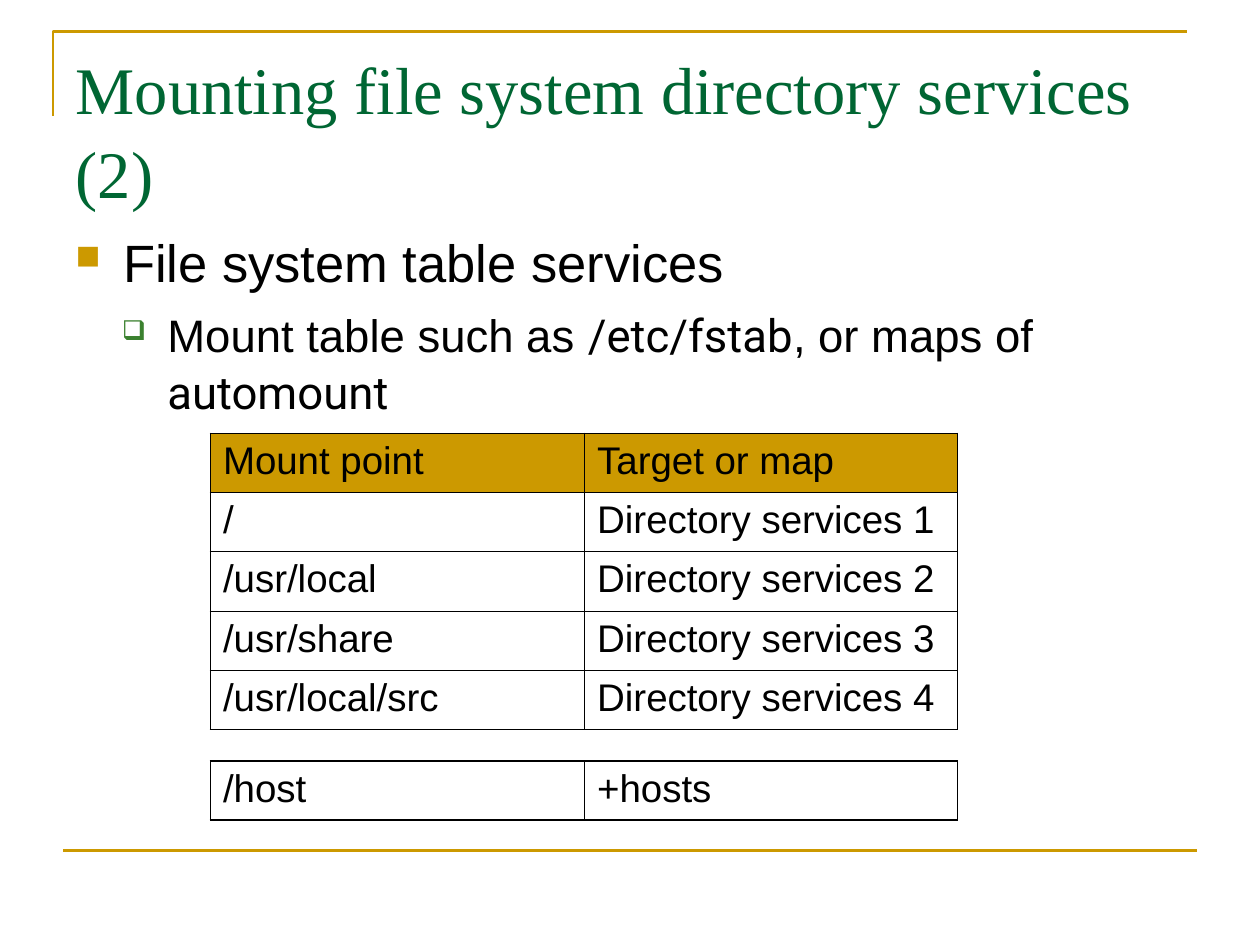
from pptx import Presentation
from pptx.dml.color import RGBColor
from pptx.enum.text import MSO_ANCHOR as ANCHOR, MSO_AUTO_SIZE as FIT, PP_ALIGN as ALIGN
from pptx.oxml import parse_xml
from pptx.oxml.ns import nsdecls
from pptx.util import Inches, Pt

GOLD, GREEN, BLACK = "CC9900", "006633", "000000"
rgb = RGBColor.from_string


def style(font, name, size, color):
    font.name, font.size, font.color.rgb = name, Pt(size), rgb(color)


prs = Presentation()
prs.slide_width, prs.slide_height = Inches(10), Inches(7.5)
W, H = prs.slide_width, prs.slide_height
s = prs.slides.add_slide(prs.slide_layouts[5])
left, wide = int(W * 0.05), int(W * 0.9)

fb = s.shapes.build_freeform(Inches(0.42), Inches(0.92))
fb.add_line_segments([(Inches(0.42), Inches(0.25)), (Inches(9.42), Inches(0.25))], close=False)
corner = fb.convert_to_shape()
corner.shadow.inherit = False
corner.fill.background()
rule = s.shapes.add_connector(1, left, int(H * 0.9), left + wide, int(H * 0.9))
rule._element.spPr.append(parse_xml(f"<a:effectLst {nsdecls('a')}/>"))
for sp in (corner, rule):
    sp.line.color.rgb, sp.line.width = rgb(GOLD), Pt(1.5)

title = s.shapes.title
title.left, title.top, title.width, title.height = left, int(H * 0.04), wide, Inches(1.25)
tf = title.text_frame
tf.text = "Mounting file system directory services (2)"
tf.auto_size, tf.word_wrap, tf.vertical_anchor = FIT.NONE, True, ANCHOR.TOP
p = tf.paragraphs[0]
p.alignment, p.line_spacing = ALIGN.LEFT, 1.05
style(p.runs[0].font, "Times New Roman", 38, GREEN)

body = s.shapes.add_textbox(left, Inches(1.75), wide, Inches(4.95))
tf = body.text_frame
tf.word_wrap = True
bullets = [
    (0.38, 0.38, "■", GOLD, 65, 30, 0, [("File system table services", "Arial")]),
    (0.73, 0.36, "❑", "3B812F", 60, 26, 6.5, [
        ("Mount table such as ", "Arial"), ("/etc/fstab", "Roboto"),
        (", or maps of ", "Arial"), ("automount", "Roboto")]),
]
for i, (margin, hang, char, color, pct, size, before, runs) in enumerate(bullets):
    p = tf.add_paragraph() if i else tf.paragraphs[0]
    p.level, p.line_spacing, p.space_before = i, 1.05, Pt(before)
    pPr = p._p.get_or_add_pPr()
    pPr.set("marL", str(Inches(margin)))
    pPr.set("indent", str(-Inches(hang)))
    for xml in (f'<a:buClr {nsdecls("a")}><a:srgbClr val="{color}"/></a:buClr>',
                f'<a:buSzPct {nsdecls("a")} val="{pct * 1000}"/>',
                f'<a:buChar {nsdecls("a")} char="{char}"/>'):
        pPr.append(parse_xml(xml))
    for text, name in runs:
        r = p.add_run()
        r.text = text
        style(r.font, name, size, BLACK)

mounts = [("Mount point", "Target or map"), ("/", "Directory services 1"),
          ("/usr/local", "Directory services 2"), ("/usr/share", "Directory services 3"),
          ("/usr/local/src", "Directory services 4")]
row_h = Inches(0.47)
for top, rows, header in ((3.44, mounts, True), (6.04, [("/host", "+hosts")], False)):
    n = len(rows)
    frame = s.shapes.add_table(n, 2, Inches(1.67), Inches(top), Inches(5.93), row_h * n)
    tbl = frame.table
    tbl.first_row, tbl.horz_banding = header, False
    tbl.columns[0].width, tbl.columns[1].width = Inches(2.97), Inches(2.96)
    for i, row in enumerate(rows):
        tbl.rows[i].height = row_h
        for j, text in enumerate(row):
            cell = tbl.cell(i, j)
            cell.text_frame.text = text
            r = cell.text_frame.paragraphs[0].runs[0]
            style(r.font, "Arial", 22, BLACK)
            r.font.bold = False
            tcPr = cell._tc.get_or_add_tcPr()
            outer = {"L": j == 0, "R": j == 1, "T": i == 0, "B": i == n - 1}
            for side, edge in outer.items():
                tcPr.append(parse_xml(
                    f'<a:ln{side} {nsdecls("a")} w="{Pt(1.08 if edge else 0.45)}"><a:solidFill>'
                    f'<a:srgbClr val="{BLACK}"/></a:solidFill></a:ln{side}>'))
            if header and i == 0:
                cell.fill.solid()
                cell.fill.fore_color.rgb = rgb(GOLD)
            else:
                cell.fill.background()

prs.save("out.pptx")
